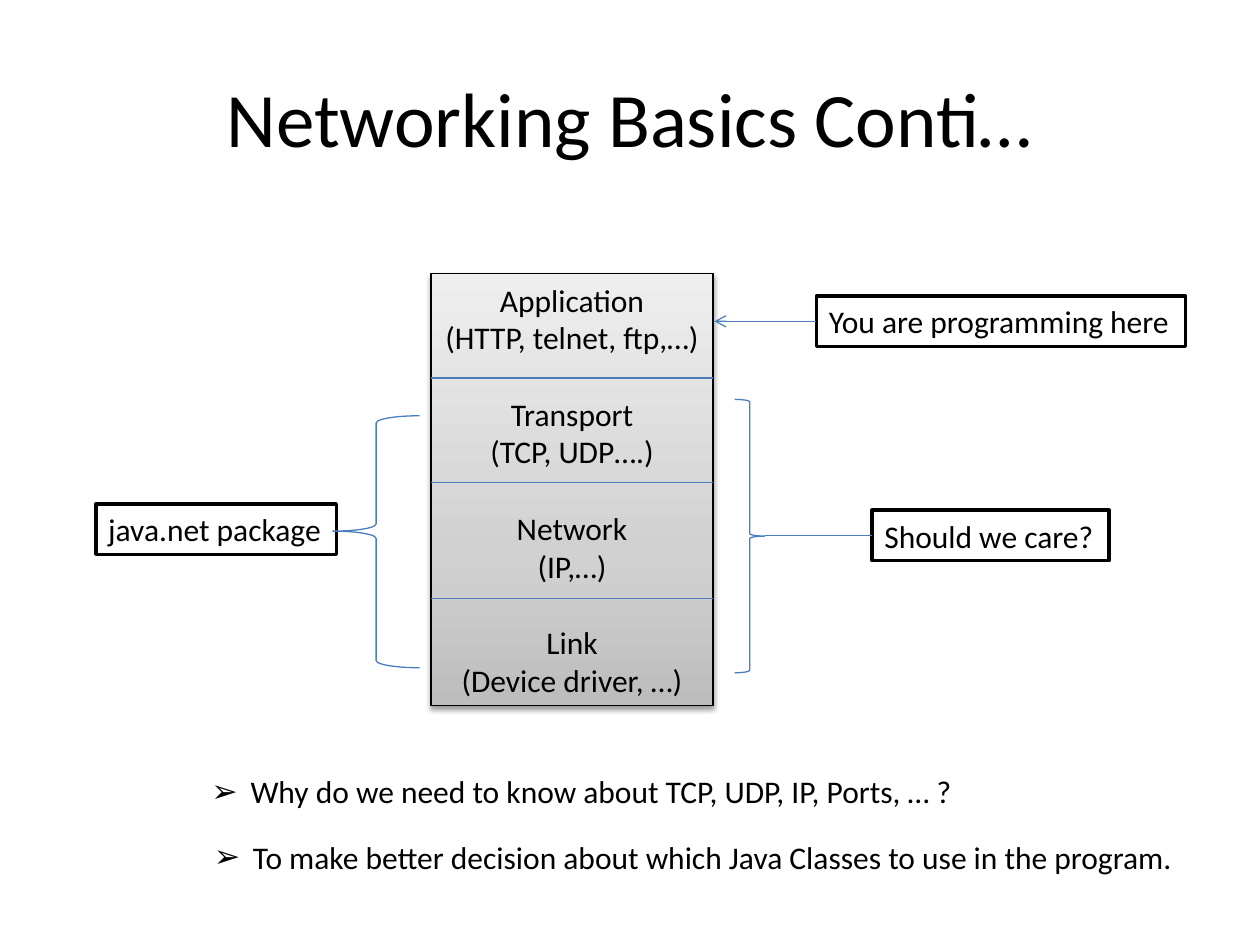
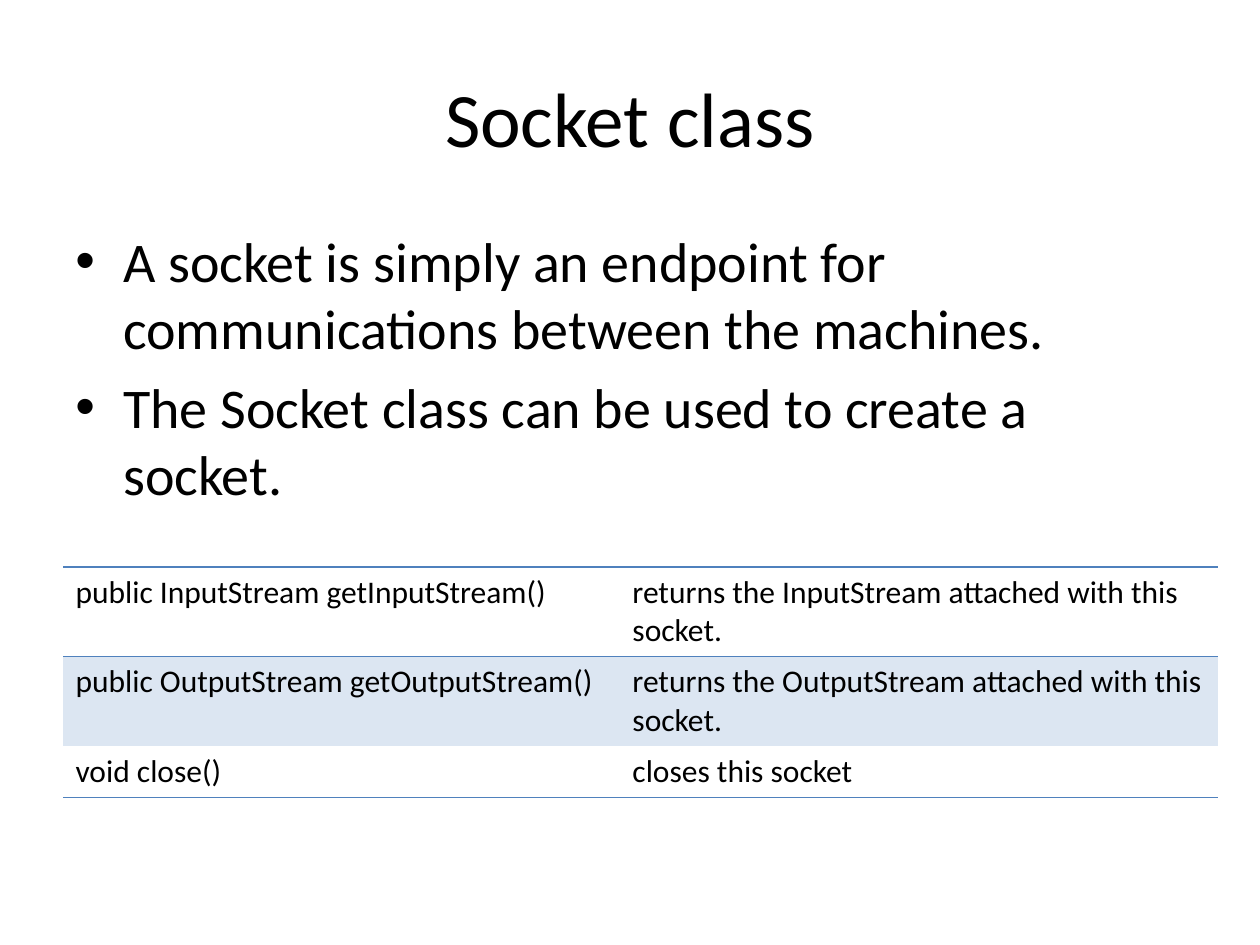
from copy import deepcopy

from lxml import etree
from pptx import Presentation
from pptx import util as u
from pptx.dml.color import RGBColor
from pptx.enum import shapes, text
from pptx.oxml import ns

PX = 9144
BLACK, WHITE, BLUE, ACCENT, BAND = "000000", "FFFFFF", "4B7EBC", "4F81BD", "DCE6F2"
PLAIN_TABLE = "{2D5ABB26-0587-4C30-8999-92F81FD0307C}"
CENTER = {"alignment": text.PP_ALIGN.CENTER}
LEFT = {"alignment": text.PP_ALIGN.LEFT}
HUG = {"word_wrap": False, "auto_size": text.MSO_AUTO_SIZE.SHAPE_TO_FIT_TEXT}
rgb = RGBColor.from_string


def write(frame, lines, size, para_format, bullet=None, indent=0):
    for index, line in enumerate(lines):
        para = frame.paragraphs[0] if index == 0 else frame.add_paragraph()
        for name, value in para_format.items():
            setattr(para, name, value)
        span = para.add_run()
        span.text = line
        for name, value in {"name": "Calibri", "size": u.Pt(size)}.items():
            setattr(span.font, name, value)
        span.font.color.rgb = rgb(BLACK)
        if bullet:
            props = para._p.get_or_add_pPr()
            props.set("marL", str(indent * PX))
            props.set("indent", str(-indent * PX))
            etree.SubElement(props, ns.qn("a:buFont"), typeface="Arial")
            etree.SubElement(props, ns.qn("a:buChar"), char=bullet)


def draw(page, kind, area, fill=None, line=None, weight=0.75):
    box = page.shapes.add_shape(kind, *[n * PX for n in area])
    box.shadow.inherit = False
    if fill:
        box.fill.solid()
        box.fill.fore_color.rgb = rgb(fill)
    else:
        box.fill.background()
    if line:
        box.line.color.rgb = rgb(line)
        box.line.width = u.Pt(weight)
    else:
        box.line.fill.background()
    return box


deck = Presentation()
deck.slide_width, deck.slide_height = 1000 * PX, 750 * PX
pages = []
for heading in ["Networking Basics Conti…", "Socket class"]:
    page = deck.slides.add_slide(deck.slide_layouts[6])
    title = page.shapes.add_textbox(50 * PX, 30 * PX, 900 * PX, 125 * PX).text_frame
    title.word_wrap = True
    title.vertical_anchor = text.MSO_ANCHOR.MIDDLE
    write(title, [heading], 44, CENTER)
    pages.append(page)
layers_page, socket_page = pages

RECT = shapes.MSO_SHAPE.RECTANGLE
stack = draw(layers_page, RECT, (342, 217, 224, 343), line=BLACK)
stack.fill.gradient()
stack.fill.gradient_angle = 90
last_stop = stack.element.xpath(".//a:gs")[-1]
last_stop.addnext(deepcopy(last_stop))
for stop, (position, shade) in zip(
    stack.fill.gradient_stops, [(0, "BDBDBD"), (0.35, "D1D1D1"), (1, "EEEEEE")]
):
    stop.position = position
    stop.color.rgb = rgb(shade)
effects = stack.element.spPr.find(ns.qn("a:effectLst"))
shadow = etree.SubElement(
    effects, ns.qn("a:outerShdw"), blurRad=str(u.Pt(3.1)), dist=str(u.Pt(1.6)),
    dir="5400000", rotWithShape="0",
)
shade = etree.SubElement(shadow, ns.qn("a:srgbClr"), val=BLACK)
etree.SubElement(shade, ns.qn("a:alpha"), val="38000")

frame = stack.text_frame
for name, value in HUG.items():
    setattr(frame, name, value)
layers = [
    ("Application", "(HTTP, telnet, ftp,…)"),
    ("Transport", "(TCP, UDP….)"),
    ("Network", "(IP,…)"),
    ("Link", "(Device driver, …)"),
]
write(frame, [line for layer in layers for line in layer], 18, CENTER)
for para in frame.paragraphs[2::2]:
    para.space_before = u.Pt(22)

labels = [
    ("You are programming here", (648, 235, 293, 40), BLACK, None),
    ("Should we care?", (692, 405, 188, 40), BLACK, None),
    ("java.net package", (76, 400, 191, 40), BLACK, None),
    ("Why do we need to know about TCP, UDP, IP, Ports, … ?",
     (158, 608, 615, 40), None, "➢"),
    ("To make better decision about which Java Classes to use in the program.",
     (160, 660, 784, 40), None, "➢"),
]
for label, area, border, bullet in labels:
    box = draw(layers_page, RECT, area, WHITE, border, 2)
    for name, value in HUG.items():
        setattr(box.text_frame, name, value)
    write(box.text_frame, [label], 18, LEFT, bullet, 31)

draw(layers_page, shapes.MSO_SHAPE.RIGHT_BRACE, (583, 317, 24, 217), line=BLUE)
left_brace = draw(layers_page, shapes.MSO_SHAPE.LEFT_BRACE, (264, 330, 69, 200), line=BLUE)
left_brace.adjustments[1] = 0.458

dividers = [(342, y, 566, y, False) for y in (300, 383, 475)]
for *ends, arrow in dividers + [(648, 255, 567, 255, True), (607, 425, 692, 425, False)]:
    link = layers_page.shapes.add_connector(
        shapes.MSO_CONNECTOR.STRAIGHT, *[n * PX for n in ends]
    )
    link.line.color.rgb = rgb(BLUE)
    link.line.width = u.Pt(0.75)
    if arrow:
        etree.SubElement(link.line._get_or_add_ln(), ns.qn("a:tailEnd"), type="arrow")
    etree.SubElement(link.element.spPr, ns.qn("a:effectLst"))

body = socket_page.shapes.add_textbox(50 * PX, 175 * PX, 900 * PX, 495 * PX).text_frame
body.word_wrap = True
write(
    body,
    [
        "A socket is simply an endpoint for communications between the machines.",
        "The Socket class can be used to create a socket.",
    ],
    32, {"space_before": u.Pt(6.4), **LEFT}, "•", 38,
)

methods = [
    ("public InputStream getInputStream()",
     "returns the InputStream attached with this socket.", 71, None, ("lnT", "lnB")),
    ("public OutputStream getOutputStream()",
     "returns the OutputStream attached with this socket.", 71, BAND, ()),
    ("void close()", "closes this socket", 41, None, ("lnB",)),
]
holder = socket_page.shapes.add_table(3, 2, 50 * PX, 450 * PX, 917 * PX, 183 * PX)
table = holder.table
table.first_row = table.horz_banding = False
holder.element.xpath(".//a:tableStyleId")[0].text = PLAIN_TABLE
for column, width in zip(table.columns, (442, 475)):
    column.width = width * PX
for row, (method, purpose, height, fill, edges) in zip(table.rows, methods):
    row.height = height * PX
    for cell, words in zip(row.cells, (method, purpose)):
        write(cell.text_frame, [words], 18, LEFT)
        props = cell._tc.get_or_add_tcPr()
        for edge in edges:
            border = etree.SubElement(props, ns.qn("a:" + edge), w=str(u.Pt(1)))
            paint = etree.SubElement(border, ns.qn("a:solidFill"))
            etree.SubElement(paint, ns.qn("a:srgbClr"), val=ACCENT)
        if fill:
            cell.fill.solid()
            cell.fill.fore_color.rgb = rgb(fill)
        else:
            cell.fill.background()

deck.save("out.pptx")
